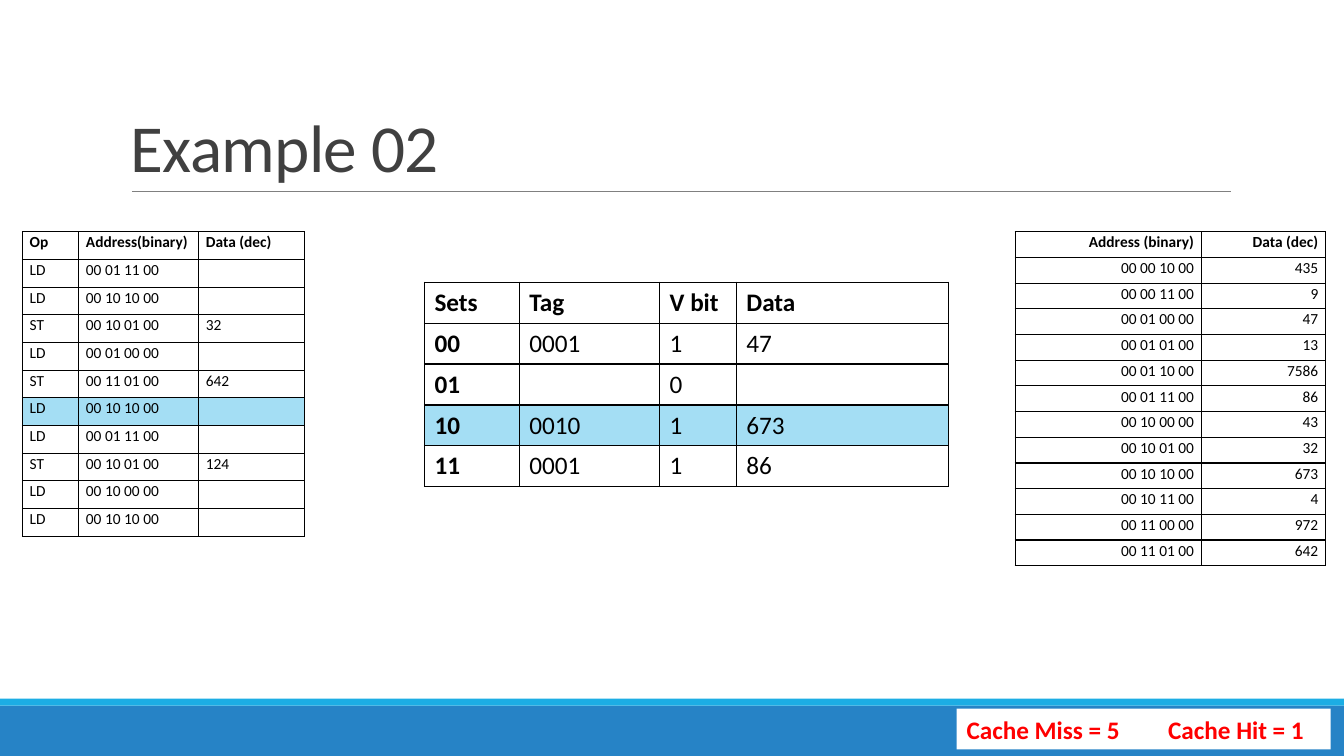
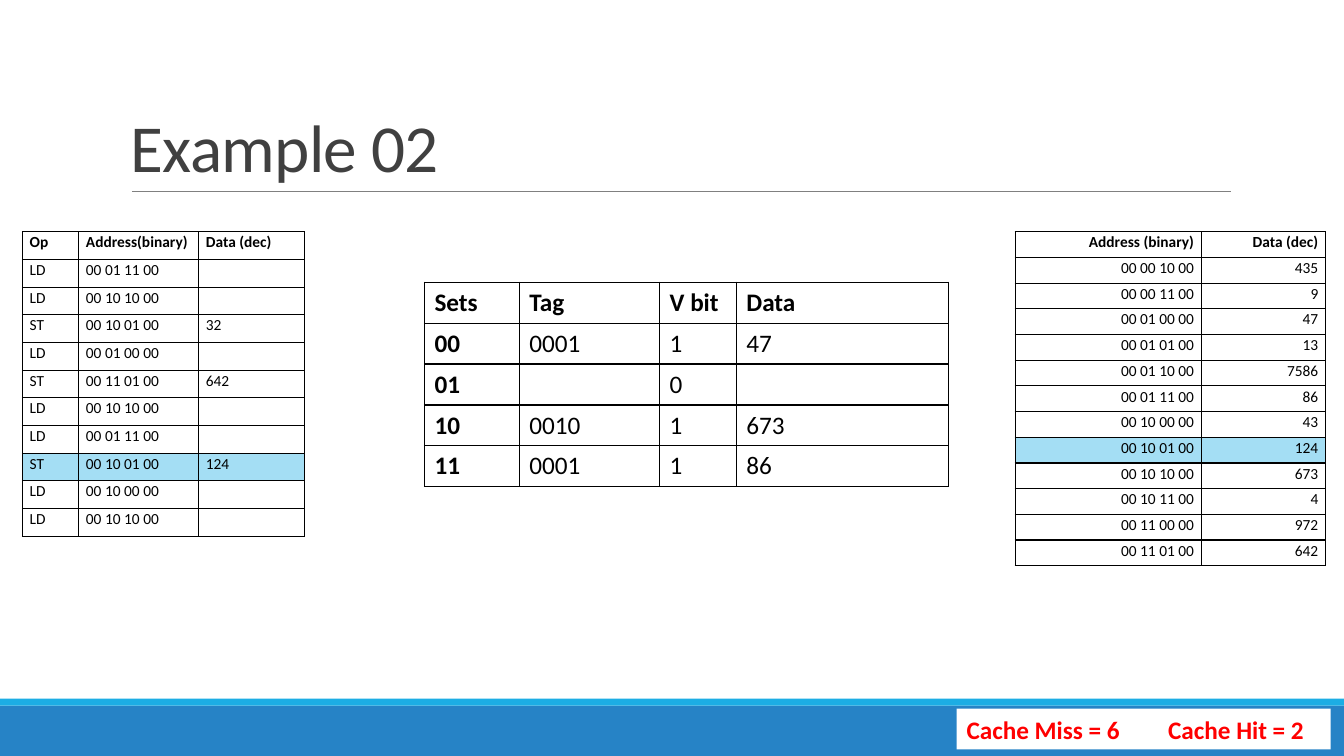
"""Builds two slides that step through a cache example."""
import lxml.etree
import pptx
import pptx.dml.color
import pptx.enum.shapes
import pptx.enum.text
import pptx.oxml.ns
import pptx.util

Pt = pptx.util.Pt
RGB = pptx.dml.color.RGBColor.from_string
qn = pptx.oxml.ns.qn
ALIGN = pptx.enum.text.PP_ALIGN
ANCHOR = pptx.enum.text.MSO_ANCHOR

THEME = {
    "font": "Calibri",
    "band": "2683C6", "stripe": "1CADE4", "rule": "808080",
    "title": "404040", "text": "000000", "border": "000000",
    "highlight": "A4DEF4", "score": "FF0000", "paper": "FFFFFF",
    "title_size": 48, "body_size": 18, "small_size": 11,
}
WIDTH, HEIGHT = 960, 540
BAND_H, STRIPE_H = 36, 5

TITLE = "Example 02"
OPERATIONS = [
    ("Op", "Address(binary)", "Data (dec)"),
    ("LD", "00 01 11 00", ""),
    ("LD", "00 10 10 00", ""),
    ("ST", "00 10 01 00", "32"),
    ("LD", "00 01 00 00", ""),
    ("ST", "00 11 01 00", "642"),
    ("LD", "00 10 10 00", ""),
    ("LD", "00 01 11 00", ""),
    ("ST", "00 10 01 00", "124"),
    ("LD", "00 10 00 00", ""),
    ("LD", "00 10 10 00", ""),
]
MEMORY = {
    "Address (binary)": "Data (dec)",
    "00 00 10 00": "435",
    "00 00 11 00": "9",
    "00 01 00 00": "47",
    "00 01 01 00": "13",
    "00 01 10 00": "7586",
    "00 01 11 00": "86",
    "00 10 00 00": "43",
    "00 10 01 00": "32",
    "00 10 10 00": "673",
    "00 10 11 00": "4",
    "00 11 00 00": "972",
    "00 11 01 00": "642",
}
CACHE = [
    ("Sets", "Tag", "V bit", "Data"),
    ("00", "0001", "1", "47"),
    ("01", "", "0", ""),
    ("10", "0010", "1", "673"),
    ("11", "0001", "1", "86"),
]
STEPS = [
    {"op": 6, "cache": 3, "memory": None, "writes": {}, "miss": 5, "hit": 1},
    {"op": 8, "cache": None, "memory": 8, "writes": {"00 10 01 00": "124"},
     "miss": 6, "hit": 2},
]

SMALL = {"size": THEME["small_size"], "margins": (5.2, 0), "spacing": 1.07}
OPERATIONS_STYLE = {**SMALL, "at": (16, 165.6), "cols": (40.2, 85.7, 75.6),
                    "row_h": 19.77, "align": ALIGN.LEFT, "bold_cols": 0}
MEMORY_STYLE = {**SMALL, "at": (725.2, 165.6), "cols": (133, 88.7),
                "row_h": 18.35, "align": ALIGN.RIGHT, "bold_cols": 0}
CACHE_STYLE = {"size": THEME["body_size"], "margins": (7.2, 3.6), "spacing": 1,
               "at": (303.2, 201.6), "cols": (67.8, 100.2, 54.8, 151.8),
               "row_h": 29.25, "align": ALIGN.LEFT, "bold_cols": 1}


def add_run(p, text, size, color, bold=False):
    r = p.add_run()
    r.text = text
    r.font.name = THEME["font"]
    r.font.size = Pt(size)
    r.font.bold = bold
    r.font.color.rgb = RGB(THEME[color])
    return r


def add_rect(s, x, y, w, h, color):
    sp = s.shapes.add_shape(pptx.enum.shapes.MSO_SHAPE.RECTANGLE,
                            Pt(x), Pt(y), Pt(w), Pt(h))
    sp.shadow.inherit = False
    sp.fill.solid()
    sp.fill.fore_color.rgb = RGB(THEME[color])
    sp.line.fill.background()
    return sp


def add_frame(s):
    band_top = HEIGHT - BAND_H
    add_rect(s, 0, band_top, WIDTH, BAND_H, "band")
    add_rect(s, 0, band_top - STRIPE_H, WIDTH, STRIPE_H, "stripe")
    rule = s.shapes.add_connector(pptx.enum.shapes.MSO_CONNECTOR.STRAIGHT,
                                  Pt(94.3), Pt(136.8), Pt(879), Pt(136.8))
    rule.line.color.rgb = RGB(THEME["rule"])
    rule.line.width = Pt(0.5)
    lxml.etree.SubElement(rule.element.spPr, qn("a:effectLst"))

    tf = s.shapes.add_textbox(Pt(86.4), Pt(22.6), Pt(792), Pt(114.2)).text_frame
    tf.word_wrap = True
    tf.vertical_anchor = ANCHOR.BOTTOM
    p = tf.paragraphs[0]
    p.line_spacing = 0.85
    r = add_run(p, TITLE, THEME["title_size"], "title")
    r.font.element.set("spc", "-50") if hasattr(r.font, "element") else \
        r._r.get_or_add_rPr().set("spc", "-50")


def add_borders(cell):
    tc_pr = cell._tc.get_or_add_tcPr()
    for i, side in enumerate(("lnL", "lnR", "lnT", "lnB")):
        ln = lxml.etree.Element(qn("a:" + side), w=str(Pt(1)))
        fill = lxml.etree.SubElement(ln, qn("a:solidFill"))
        lxml.etree.SubElement(fill, qn("a:srgbClr"), val=THEME["border"])
        tc_pr.insert(i, ln)


def fill_cell(cell, text, style, bold, marked):
    cell.margin_left = cell.margin_right = Pt(style["margins"][0])
    cell.margin_top = cell.margin_bottom = Pt(style["margins"][1])
    if marked:
        cell.fill.solid()
        cell.fill.fore_color.rgb = RGB(THEME["highlight"])
    else:
        cell.fill.background()
    add_borders(cell)
    p = cell.text_frame.paragraphs[0]
    p.alignment = style["align"]
    p.line_spacing = style["spacing"]
    if text:
        add_run(p, text, style["size"], "text", bold)
    else:
        lxml.etree.SubElement(p._p, qn("a:endParaRPr"), sz=str(style["size"] * 100))


def add_grid(s, rows, style, marked_row):
    x, y = style["at"]
    cols, row_h = style["cols"], style["row_h"]
    table = s.shapes.add_table(len(rows), len(cols), Pt(x), Pt(y),
                               Pt(sum(cols)), Pt(row_h * len(rows))).table
    table.horz_banding = False
    for col, w in zip(table.columns, cols):
        col.width = Pt(w)
    for i, row in enumerate(rows):
        table.rows[i].height = Pt(row_h)
        for j, text in enumerate(row):
            bold = i == 0 or j < style["bold_cols"]
            fill_cell(table.cell(i, j), text, style, bold, i == marked_row)


def add_score(s, miss, hit):
    tf = add_rect(s, 683.3, 506.2, 267.1, 29.1, "paper").text_frame
    tf.word_wrap = True
    tf.vertical_anchor = ANCHOR.MIDDLE
    p = tf.paragraphs[0]
    p.alignment = ALIGN.LEFT
    add_run(p, f"Cache Miss = {miss}\tCache Hit = {hit}",
            THEME["body_size"], "score", True)


def main():
    prs = pptx.Presentation()
    prs.slide_width, prs.slide_height = Pt(WIDTH), Pt(HEIGHT)
    for step in STEPS:
        s = prs.slides.add_slide(prs.slide_layouts[6])
        add_frame(s)
        memory = list({**MEMORY, **step["writes"]}.items())
        add_grid(s, OPERATIONS, OPERATIONS_STYLE, step["op"])
        add_grid(s, memory, MEMORY_STYLE, step["memory"])
        add_grid(s, CACHE, CACHE_STYLE, step["cache"])
        add_score(s, step["miss"], step["hit"])
    prs.save("out.pptx")


if __name__ == "__main__":
    main()
